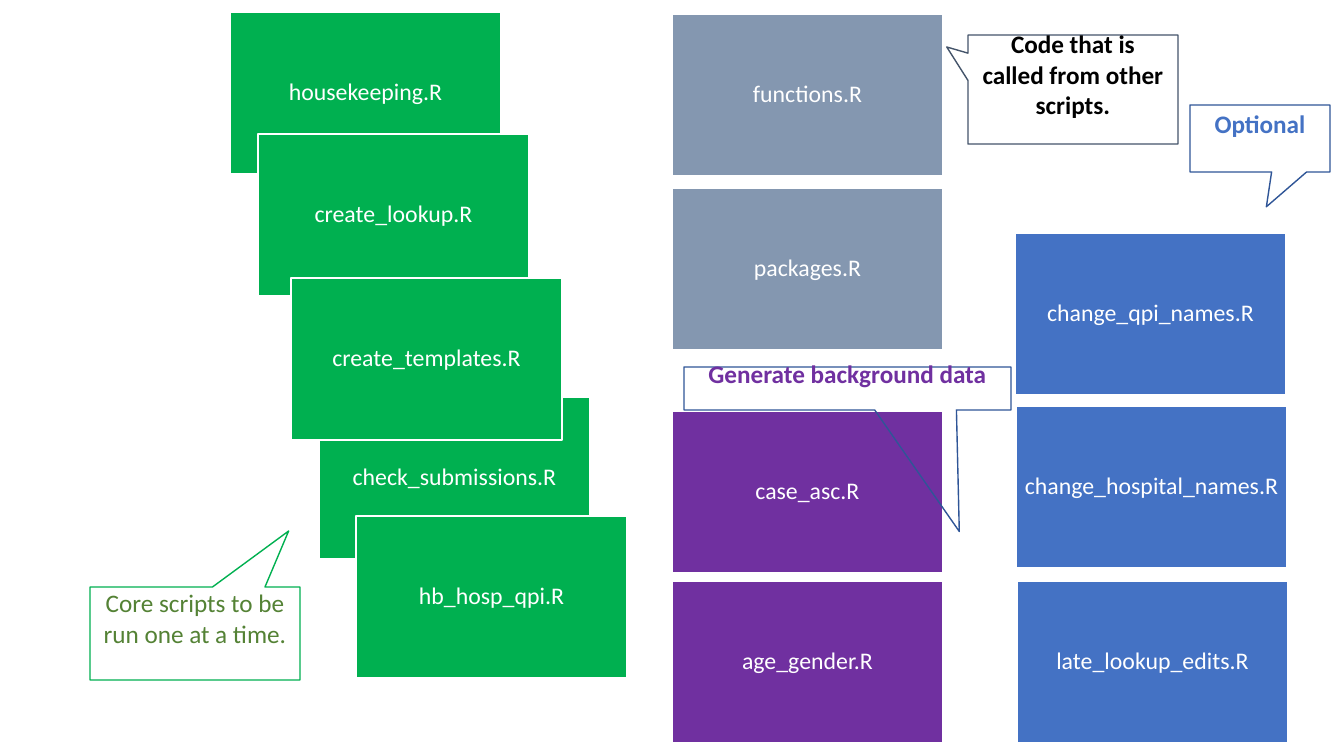
from pptx import Presentation
from pptx import util as u
from pptx.dml.color import RGBColor
from pptx.enum import shapes, text

GREEN = RGBColor(0x00, 0xB0, 0x50)
SLATE = RGBColor(0x84, 0x97, 0xB0)
PURPLE = RGBColor(0x70, 0x30, 0xA0)
BLUE = RGBColor(0x44, 0x72, 0xC4)
DARK_BLUE = RGBColor(0x2F, 0x55, 0x97)
DARK_SLATE = RGBColor(0x44, 0x54, 0x6A)
DARK_GREEN = RGBColor(0x54, 0x82, 0x35)
BLACK = RGBColor(0x00, 0x00, 0x00)
WHITE = RGBColor(0xFF, 0xFF, 0xFF)

SLIDE_SIZE = (1344, 756)
SCRIPT_SIZE = (271, 162)
SCRIPT_INSETS = (7, 7, 7, 7)
# left, top, right, bottom: the bottom leaves one text line free
NOTE_INSETS = (10, 5, 10, 36)

# Colour -> (file, left, top), from back to front
SCRIPTS = {
    GREEN: [
        ("housekeeping.R", 230, 12),
        ("check_submissions.R", 319, 397),
        ("create_lookup.R", 258, 134),
        ("create_templates.R", 291, 278),
        ("hb_hosp_qpi.R", 356, 516),
    ],
    SLATE: [("functions.R", 672, 14), ("packages.R", 672, 188)],
    PURPLE: [("case_asc.R", 672, 411), ("age_gender.R", 672, 581)],
    BLUE: [
        ("change_qpi_names.R", 1015, 233),
        ("change_hospital_names.R", 1016, 406),
        ("late_lookup_edits.R", 1017, 581),
    ],
}

# Words, box, pointer tip, line colour, text colour, bold
NOTES = [
    ("Core scripts to be run one at a time.", (90, 587, 210, 93),
     (0.446, -1.102), GREEN, DARK_GREEN, False),
    ("Code that is called from other scripts.", (968, 35, 210, 109),
     (-0.601, -0.39), DARK_SLATE, BLACK, True),
    ("Optional", (1190, 105, 140, 67),
     (0.046, 1.02), DARK_BLUE, BLUE, True),
    ("Generate background data", (684, 367, 327, 43),
     (0.342, 3.324), DARK_BLUE, PURPLE, True),
]


def px(length):
    return u.Emu(round(length * 914400 / 100.8))


def add_box(slide, preset, box, line, words, insets, size, color, bold=False):
    """Add an outlined shape with one centred paragraph; return the shape."""
    shape = slide.shapes.add_shape(preset, *map(px, box))
    shape.shadow.inherit = False
    shape.line.color.rgb = line
    shape.line.width = u.Pt(1)
    frame = shape.text_frame
    frame.word_wrap = True
    frame.vertical_anchor = text.MSO_ANCHOR.MIDDLE
    (frame.margin_left, frame.margin_top,
     frame.margin_right, frame.margin_bottom) = map(px, insets)
    paragraph = frame.paragraphs[0]
    paragraph.text = words
    paragraph.alignment = text.PP_ALIGN.CENTER
    font = paragraph.font
    font.name, font.size, font.bold = "Calibri", u.Pt(size), bold
    font.color.rgb = color
    return shape


def main():
    deck = Presentation()
    deck.slide_width, deck.slide_height = map(px, SLIDE_SIZE)
    slide = deck.slides.add_slide(deck.slide_layouts[6])

    for fill, files in SCRIPTS.items():
        for file, left, top in files:
            script = add_box(slide, shapes.MSO_SHAPE.RECTANGLE,
                             (left, top, *SCRIPT_SIZE), WHITE, file,
                             SCRIPT_INSETS, 17, WHITE)
            script.fill.solid()
            script.fill.fore_color.rgb = fill
            script.text_frame.paragraphs[0].line_spacing = 0.9

    for words, box, tip, line, color, bold in NOTES:
        note = add_box(slide, shapes.MSO_SHAPE.RECTANGULAR_CALLOUT, box, line,
                       words, NOTE_INSETS, 18, color, bold)
        note.fill.background()
        note.adjustments[0], note.adjustments[1] = tip

    deck.save("out.pptx")


if __name__ == "__main__":
    main()
